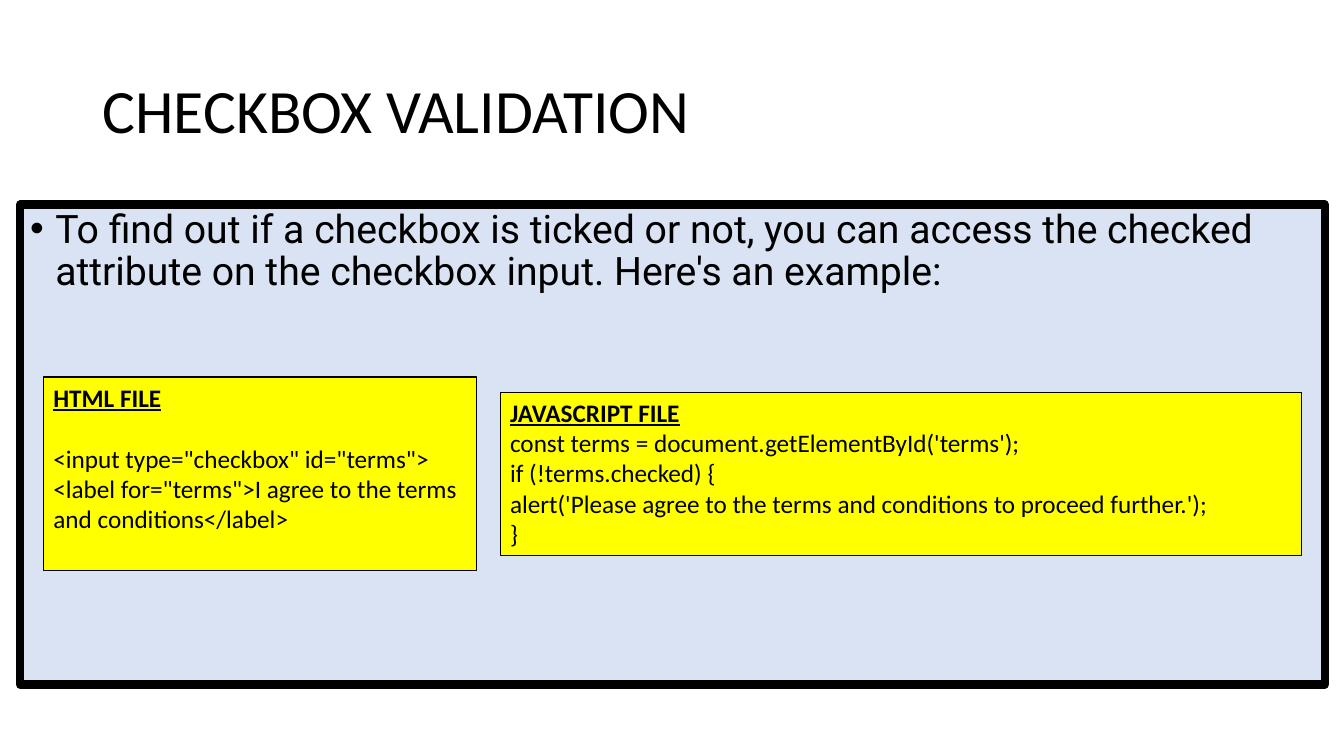
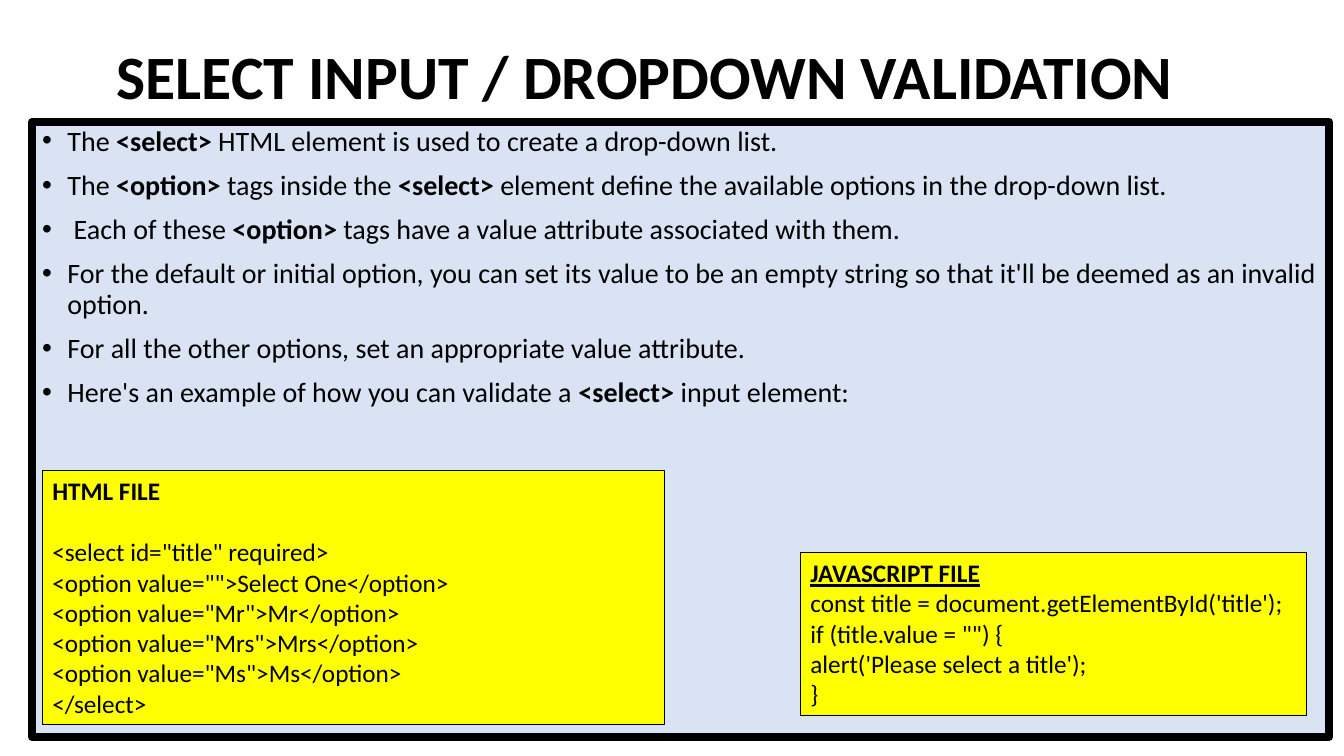
from pptx import Presentation
from pptx.dml.color import RGBColor
from pptx.enum.shapes import MSO_SHAPE
from pptx.enum.text import MSO_ANCHOR, PP_ALIGN
from pptx.oxml.ns import qn
from pptx.util import Inches, Pt
from lxml.etree import SubElement

COLORS = {"ink": "000000", "panel": "DAE3F3", "code": "FFFF00"}
WIDTH, HEIGHT = Inches(13.33), Inches(7.5)
FONT = "Calibri"
TITLE_SIZE, CODE_SIZE = 44, 18
LINE_SPACING = 0.9
BULLET_INDENT = Inches(0.25)
BULLET_GAP = 10
CODE_GAP = 22  # one blank line of code text


def color(name):
    return RGBColor.from_string(COLORS[name])


def place(left, top, width, height):
    """Turn percentages of the slide into lengths."""
    return [round(share * side / 100) for share, side in
            zip((left, top, width, height), (WIDTH, HEIGHT) * 2)]


def add_run(p, text, size, bold=False, underline=False, font=FONT):
    r = p.add_run()
    r.text = text
    r.font.name = font
    r.font.size = Pt(size)
    r.font.bold = bold
    r.font.underline = underline
    r.font.color.rgb = color("ink")


def add_title(s, text, area, bold=False):
    tf = s.shapes.add_textbox(*place(*area)).text_frame
    tf.word_wrap = True
    tf.vertical_anchor = MSO_ANCHOR.MIDDLE
    p = tf.paragraphs[0]
    p.line_spacing = LINE_SPACING
    add_run(p, text, TITLE_SIZE, bold)


def add_box(s, area, fill, line_width):
    """Draw an outlined rectangle and return its text frame."""
    sp = s.shapes.add_shape(MSO_SHAPE.RECTANGLE, *place(*area))
    sp.shadow.inherit = False
    sp.fill.solid()
    sp.fill.fore_color.rgb = color(fill)
    sp.line.color.rgb = color("ink")
    sp.line.width = Pt(line_width)
    tf = sp.text_frame
    tf.word_wrap = True
    tf.vertical_anchor = MSO_ANCHOR.TOP
    return tf


def next_paragraph(tf, first):
    p = tf.paragraphs[0] if first else tf.add_paragraph()
    p.alignment = PP_ALIGN.LEFT
    return p


def add_bullet(p):
    pPr = p._p.get_or_add_pPr()
    pPr.set("marL", str(BULLET_INDENT))
    pPr.set("indent", str(-BULLET_INDENT))
    SubElement(pPr, qn("a:buFont")).set("typeface", "Arial")
    SubElement(pPr, qn("a:buChar")).set("char", "•")


def add_panel(s, area, bullets, size, font=FONT):
    """Bulleted panel; words between ** marks are bold."""
    tf = add_box(s, area, "panel", 6)
    for i, text in enumerate(bullets):
        p = next_paragraph(tf, i == 0)
        add_bullet(p)
        p.line_spacing = LINE_SPACING
        p.space_before = Pt(BULLET_GAP if i else 0)
        for j, part in enumerate(text.split("**")):
            if part:
                add_run(p, part, size, bold=j % 2 == 1, font=font)


def add_code(s, area, heading, code, gap=0, underline=True):
    tf = add_box(s, area, "code", 0.75)
    add_run(next_paragraph(tf, True), heading, CODE_SIZE, True, underline)
    for i, line in enumerate(code):
        p = next_paragraph(tf, False)
        p.space_before = Pt(0 if i else gap)
        add_run(p, line, CODE_SIZE)


def checkbox_slide(s):
    add_title(s, "CHECKBOX VALIDATION", (6.9, 5.33, 86.25, 19.33))
    add_panel(s, (1.5, 27.07, 97.07, 63.47), [
        "To find out if a checkbox is ticked or not, you can access the "
        "checked attribute on the checkbox input. Here's an example:",
    ], 28, "Roboto")
    add_code(s, (3.23, 49.87, 32.26, 25.6), "HTML FILE", [
        '<input type="checkbox" id="terms">',
        '<label for="terms">I agree to the terms and conditions</label>',
    ], gap=CODE_GAP)
    add_code(s, (37.21, 51.87, 59.64, 21.6), "JAVASCRIPT FILE", [
        "const terms = document.getElementById('terms');",
        "if (!terms.checked) {",
        "alert('Please agree to the terms and conditions to proceed further.');",
        "}",
    ])


def select_slide(s):
    add_title(s, "SELECT INPUT / DROPDOWN VALIDATION",
              (7.95, 5.33, 86.25, 10.4), bold=True)
    add_panel(s, (2.4, 16.13, 96.47, 81.33), [
        "The **<select>** HTML element is used to create a drop-down list.",
        "The **<option>** tags inside the **<select>** element define the "
        "available options in the drop-down list.",
        " Each of these **<option>** tags have a value attribute associated "
        "with them.",
        "For the default or initial option, you can set its value to be an "
        "empty string so that it'll be deemed as an invalid option.",
        "For all the other options, set an appropriate value attribute.",
        "Here's an example of how you can validate a **<select>** input "
        "element:",
    ], 20)
    options = [("", "Select One")] + [(t, t) for t in ("Mr", "Mrs", "Ms")]
    add_code(s, (3.15, 62.27, 46.29, 33.6), "HTML FILE", [
        '<select id="title" required>',
        *[f'<option value="{value}">{label}</option>'
          for value, label in options],
        "</select>",
    ], gap=CODE_GAP, underline=False)
    add_code(s, (59.56, 73.07, 37.66, 21.6), "JAVASCRIPT FILE", [
        "const title = document.getElementById('title');",
        'if (title.value = "") {',
        "alert('Please select a title');",
        "}",
    ])


def main():
    prs = Presentation()
    prs.slide_width, prs.slide_height = WIDTH, HEIGHT
    for build in (checkbox_slide, select_slide):
        build(prs.slides.add_slide(prs.slide_layouts[6]))
    prs.save("out.pptx")


if __name__ == "__main__":
    main()
